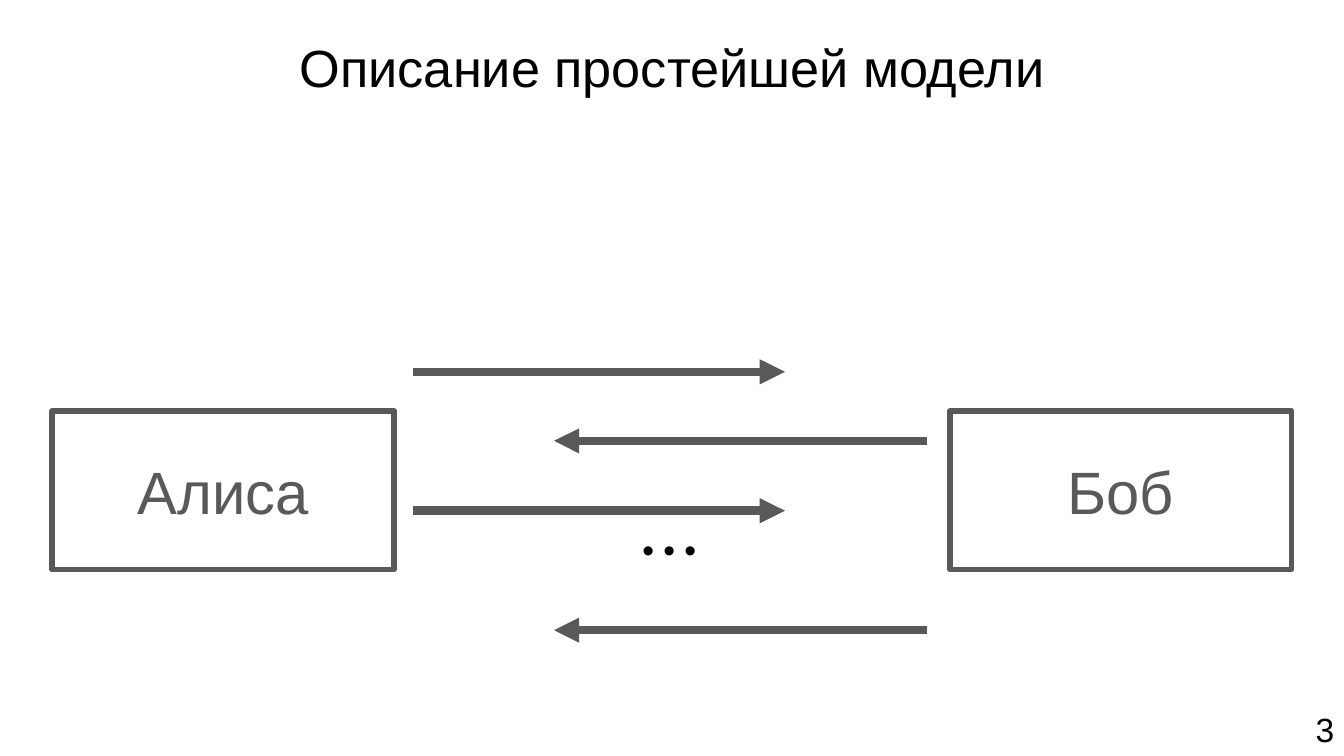
from lxml.etree import SubElement
from pptx import Presentation
from pptx.dml.color import RGBColor
from pptx.enum.shapes import MSO_CONNECTOR, MSO_SHAPE
from pptx.enum.text import MSO_ANCHOR, PP_ALIGN
from pptx.oxml.ns import qn
from pptx.util import Pt

BLACK = "000000"
GRAY = "595959"


def color(hex_value):
    return RGBColor.from_string(hex_value)


def set_text(shape, text, size, hex_value, alignment):
    """Fill the shape with one formatted line of text."""
    shape.text_frame.text = text
    paragraph = shape.text_frame.paragraphs[0]
    paragraph.alignment = alignment
    font = paragraph.runs[0].font
    font.name = "Arial"
    font.size = Pt(size)
    font.color.rgb = color(hex_value)


presentation = Presentation()
presentation.slide_width = Pt(720)
presentation.slide_height = Pt(405)
slide = presentation.slides.add_slide(presentation.slide_layouts[5])

# Title
title = slide.shapes.title
title.left, title.top, title.width, title.height = Pt(24.5), Pt(11.5), Pt(671), Pt(45.4)
set_text(title, "Описание простейшей модели", 28, BLACK, PP_ALIGN.CENTER)
title.text_frame.vertical_anchor = MSO_ANCHOR.TOP
title.text_frame.margin_top = title.text_frame.margin_bottom = Pt(7.2)

# Participants
for name, left in (("Алиса", 28), ("Боб", 509)):
    participant = slide.shapes.add_shape(
        MSO_SHAPE.RECTANGLE, Pt(left), Pt(220.2), Pt(183), Pt(85)
    )
    participant.shadow.inherit = False
    participant.fill.background()
    participant.line.color.rgb = color(GRAY)
    participant.line.width = Pt(3)
    participant.text_frame.vertical_anchor = MSO_ANCHOR.MIDDLE
    set_text(participant, name, 32, GRAY, PP_ALIGN.CENTER)

# Messages, alternating between the participants
to_bob = (221, 420.5)
to_alice = (496.8, 296.8)
for (start, end), y in (
    (to_bob, 199.2), (to_alice, 236.2), (to_bob, 273.6), (to_alice, 337.6)
):
    message = slide.shapes.add_connector(
        MSO_CONNECTOR.STRAIGHT, Pt(start), Pt(y), Pt(end), Pt(y)
    )
    message.line.color.rgb = color(GRAY)
    message.line.width = Pt(4.5)
    SubElement(message.line._get_or_add_ln(), qn("a:tailEnd"), type="triangle")
    SubElement(message._element.spPr, qn("a:effectLst"))

# Ellipsis between the messages and the slide number
for text, left, top, width, height in (
    ("• • •", 337, 280, 45.4, 46),
    ("3", 697.7, 376, 22.3, 29),
):
    label = slide.shapes.add_textbox(Pt(left), Pt(top), Pt(width), Pt(height))
    label.text_frame.word_wrap = True
    set_text(label, text, 18, BLACK, PP_ALIGN.LEFT)

presentation.save("out.pptx")
